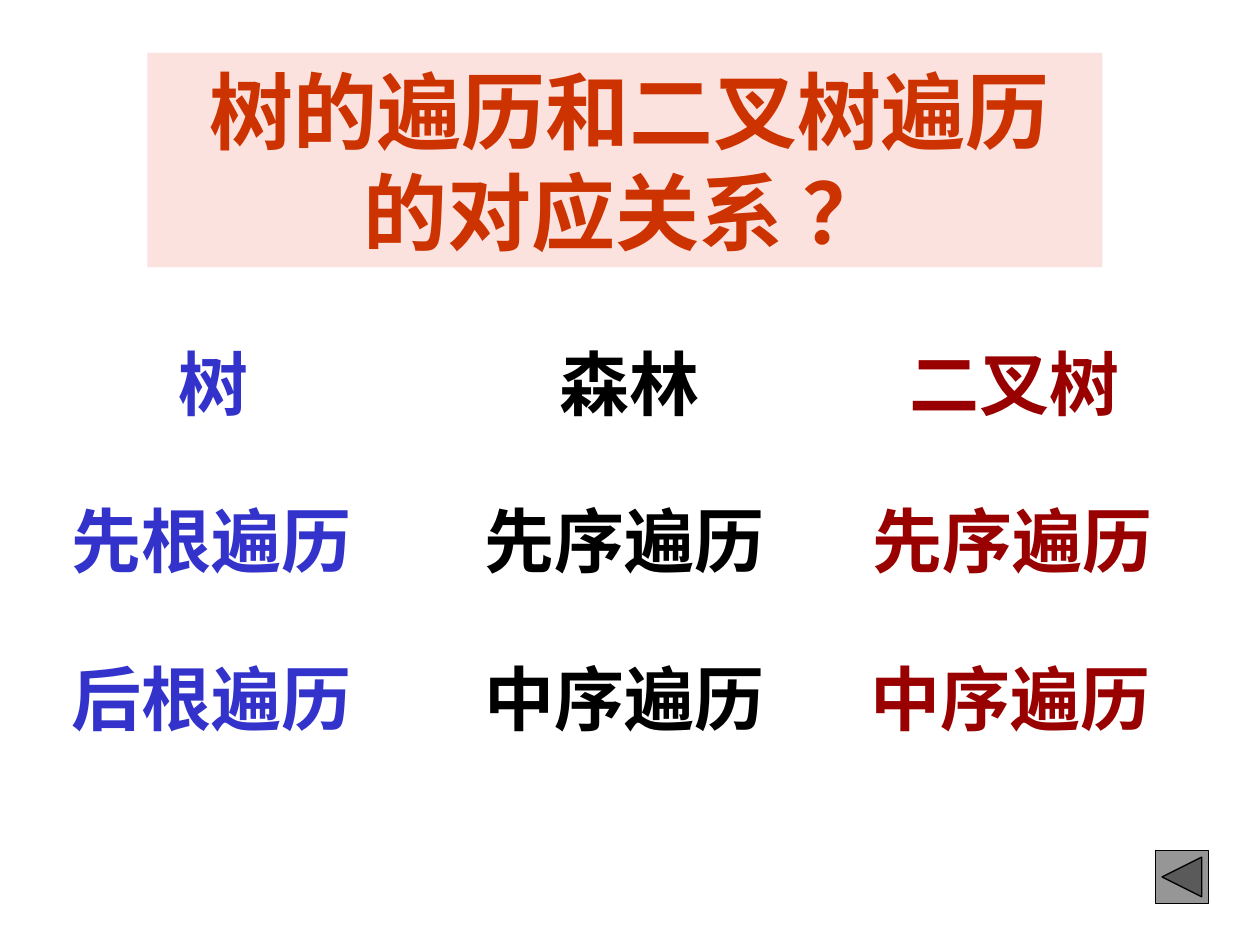
from pptx import Presentation
from pptx.dml.color import RGBColor
from pptx.enum.shapes import MSO_SHAPE
from pptx.enum.text import MSO_ANCHOR, MSO_AUTO_SIZE, PP_ALIGN
from pptx.util import Inches, Pt

FACE = "Times New Roman"
SIZE = 40
ROWS = [2.65, 3.9, 5.15]
TREES = [
    ("3333CC", [("树", 1.32), ("先根遍历", 0.47), ("后根遍历", 0.47)]),
    ("000000", [("森林", 4.34), ("先序遍历", 3.75), ("中序遍历", 3.75)]),
    ("990000", [("二叉树", 7.12), ("先序遍历", 6.83), ("中序遍历", 6.81)]),
]


def color(code):
    return RGBColor.from_string(code)


def assign(item, values):
    for name, value in values.items():
        setattr(item, name, value)


def place(item, left, top, width, height):
    assign(item, {"left": Inches(left), "top": Inches(top),
                  "width": Inches(width), "height": Inches(height)})


def write(frame, text, size, code, align):
    part = frame.paragraphs[0]
    part.alignment = align
    run = part.add_run()
    run.text = text
    assign(run.font, {"name": FACE, "size": Pt(size), "bold": True})
    run.font.color.rgb = color(code)


def paint(item, code):
    item.fill.solid()
    item.fill.fore_color.rgb = color(code)


def head(slide, runs):
    title = slide.shapes.title
    place(title, 1.17, 0.42, 7.58, 1.7)
    paint(title, "FBE2DF")
    assign(title.text_frame, {"word_wrap": True, "auto_size": MSO_AUTO_SIZE.NONE,
                              "vertical_anchor": MSO_ANCHOR.TOP})
    for text, size in runs:
        write(title.text_frame, text, size, "CC3300", PP_ALIGN.CENTER)


def label(slide, text, left, top, code):
    box = slide.shapes.add_textbox(0, 0, 0, 0)
    place(box, left, top, len(text) * SIZE / 72 + 0.2, 0.77)
    box.text_frame.word_wrap = False
    write(box.text_frame, text, SIZE, code, PP_ALIGN.LEFT)


def button(slide):
    back = slide.shapes.add_shape(MSO_SHAPE.ACTION_BUTTON_BACK_OR_PREVIOUS, 0, 0, 0, 0)
    place(back, 9.17, 6.75, 0.42, 0.42)
    paint(back, "969696")
    back.line.color.rgb = color("000000")
    back.line.width = Pt(0.75)
    back.shadow.inherit = False


def main():
    deck = Presentation()
    assign(deck, {"slide_width": Inches(10), "slide_height": Inches(7.5)})
    slide = deck.slides.add_slide(deck.slide_layouts[5])
    head(slide, [(" ", 24), ("树的遍历和二叉树遍历的对应关系 ？", 48)])
    for code, words in TREES:
        for top, (text, left) in zip(ROWS, words):
            label(slide, text, left, top, code)
    button(slide)
    deck.save("out.pptx")


if __name__ == "__main__":
    main()
